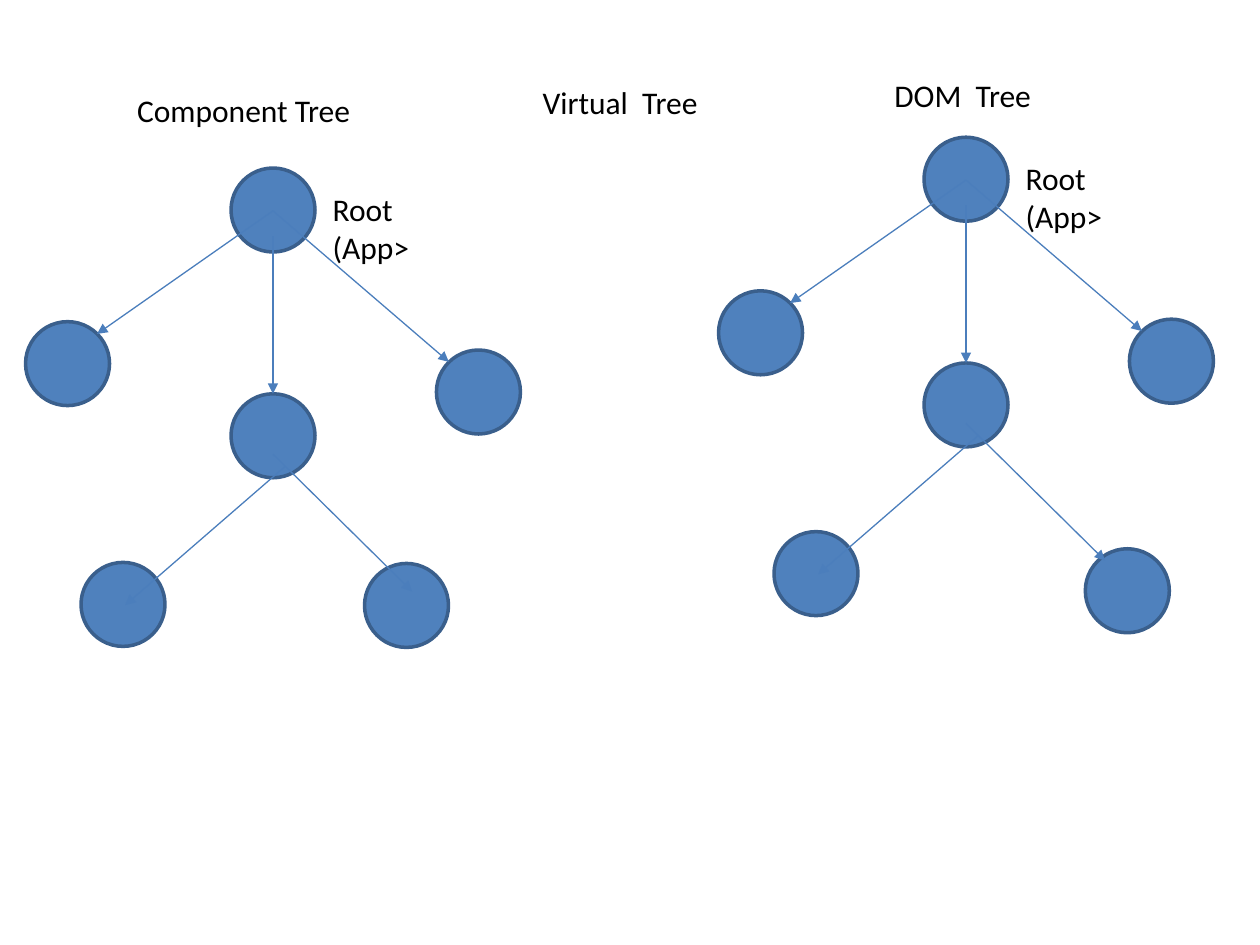
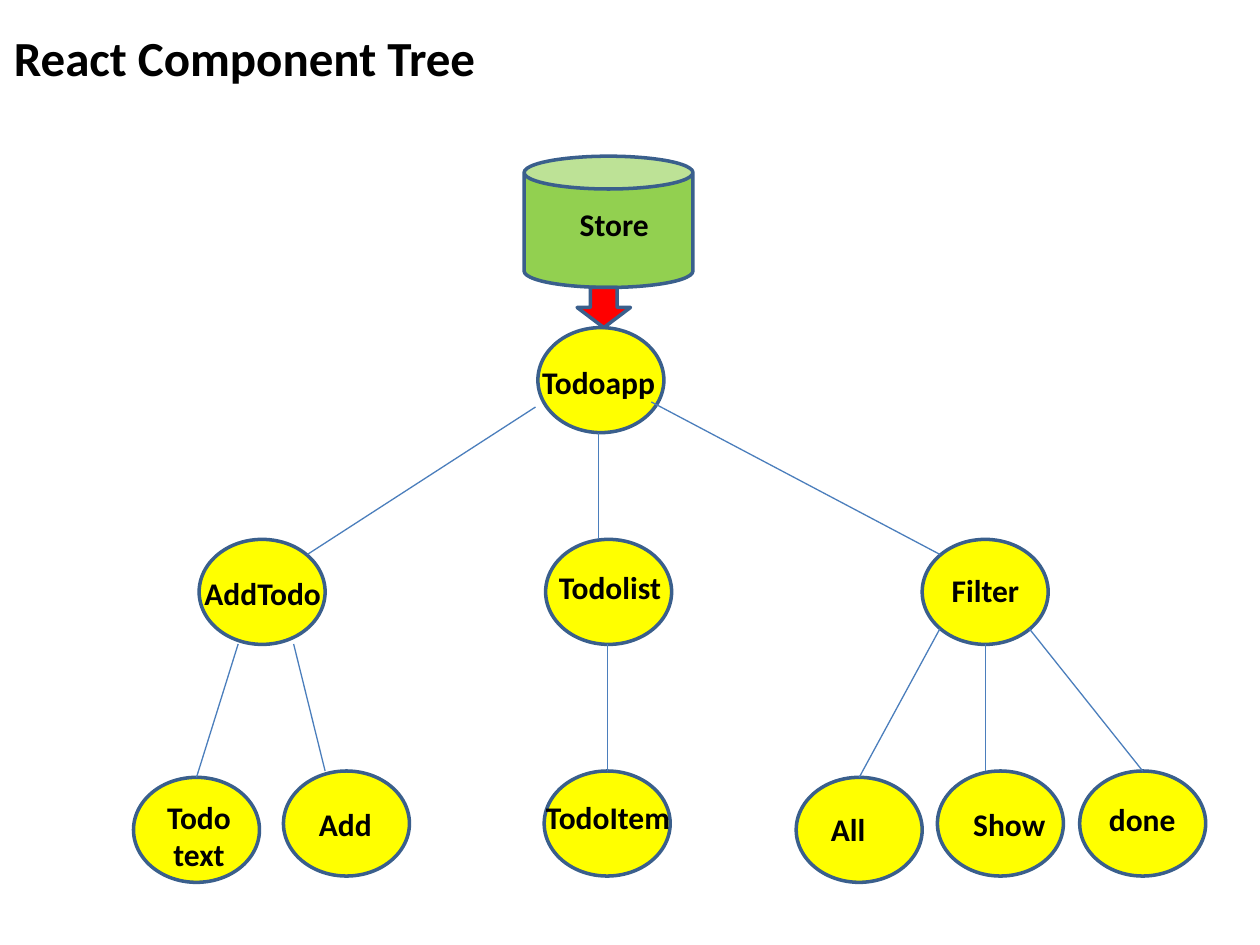
from dataclasses import dataclass

from lxml.etree import SubElement
from pptx import Presentation
from pptx.dml.color import RGBColor
from pptx.enum.shapes import MSO_CONNECTOR, MSO_SHAPE
from pptx.enum.text import MSO_ANCHOR, MSO_AUTO_SIZE, PP_ALIGN
from pptx.oxml.ns import qn
from pptx.util import Pt


@dataclass(frozen=True)
class Theme:
    font: str = "Calibri"
    text: str = "000000"
    outline: str = "3A5F8C"
    edge: str = "4B7EBC"
    tree_node: str = "4F81BD"
    component: str = "FFFF00"
    store: str = "92D050"
    flow: str = "FF0000"
    title_size: int = 28
    label_size: int = 18
    outline_width: float = 2
    edge_width: float = 0.75


THEME = Theme()

# Slide 1: tree headings (text, left, top), roots and the last leaf of each tree
HEADINGS = [
    ("Component Tree", 71.3, 48.2),
    ("Virtual  Tree", 303, 44),
    ("DOM  Tree", 504, 39.6),
]
ROOT_LABEL = "Root  (App>"
TREES = [
    {"root": (132, 96), "last_leaf": (76.3, 226)},
    {"root": (528, 78.4), "last_leaf": (92.2, 235.2)},
]
NODE_SIZE = 48

# Offsets from the root's corner
MIDDLE_CHILD = (0, 129)
OTHER_CHILDREN = [(-117.4, 87.8), (117.4, 104), (-85.7, 225.4)]
MIDDLE_ARROW_START = (24, 39)
ARROWS = [
    ((24, 24.5), (-76.5, 94.8)),
    ((24, 24.5), (124.5, 110.8)),
    ((31, 170.5), (-60.5, 249.8)),
    ((24, 163.5), (103.5, 242)),
]

# Slide 2: components as name: (node left, node top, label centre, label top)
TITLE = "React Component Tree"
COMPONENTS = {
    "Todoapp": (307.4, 187.2, 342, 203.8),
    "AddTodo": (113.8, 308.2, 150.1, 324.7),
    "Todolist": (311.8, 308.2, 348.5, 321.1),
    "Filter": (527, 308.2, 563.1, 322.6),
    "Todo\ntext": (76.3, 444.2, 113.7, 452.2),
    "Add": (162, 440.6, 197.3, 456.5),
    "TodoItem": (311, 440.6, 347.4, 452.2),
    "All": (455, 444.2, 484.6, 459.4),
    "Show": (535.7, 440.6, 576.7, 456.5),
    "done": (617, 440.6, 652.7, 453.6),
}
COMPONENT_SIZE = (72, 60)
# Links that end on a component's top middle: (start, component)
JOINED_LINKS = [
    ((136.1, 368), "Todo\ntext"),
    ((347, 368), "TodoItem"),
    ((537.1, 359.3), "All"),
    ((588.2, 359.3), "done"),
]
FREE_LINKS = [
    ((342, 247.7), (342, 308.2)),
    ((306, 232.6), (175.7, 316.8)),
    ((372.2, 229.7), (537.1, 316.8)),
    ((167.8, 368), (185.8, 440.6)),
    ((563, 368), (563, 440.6)),
]
STORE = ("Store", 351, 113.8)
STORE_BOX = (299.5, 89.3, 96.5, 75)
FLOW_BOX = (329.8, 164.2, 30.5, 23)


# Shared drawing helpers
def points(*lengths):
    return [Pt(length) for length in lengths]


def add_solid(slide, preset, box, colour):
    solid = slide.shapes.add_shape(preset, *points(*box))
    solid.shadow.inherit = False
    solid.fill.solid()
    solid.fill.fore_color.rgb = RGBColor.from_string(colour)
    solid.line.color.rgb = RGBColor.from_string(THEME.outline)
    solid.line.width = Pt(THEME.outline_width)
    return solid


def format_text(frame, size, bold, align):
    for paragraph in frame.paragraphs:
        paragraph.alignment = align
        for run in paragraph.runs:
            run.font.name = THEME.font
            run.font.size = Pt(size)
            run.font.bold = bold
            run.font.color.rgb = RGBColor.from_string(THEME.text)


def add_label(slide, text, box, bold=False, align=PP_ALIGN.LEFT, wrap=True):
    frame = slide.shapes.add_textbox(*points(*box)).text_frame
    frame.word_wrap = wrap
    frame.text = text
    format_text(frame, THEME.label_size, bold, align)


def add_centred_label(slide, text, centre, top):
    width, height = 90, 51 if "\n" in text else 29
    add_label(slide, text, (centre - width / 2, top, width, height),
              bold=True, align=PP_ALIGN.CENTER, wrap=False)


def add_link(slide, start, end, target=None, arrow=False):
    link = slide.shapes.add_connector(
        MSO_CONNECTOR.STRAIGHT, *points(*start, *end))
    if target is not None:
        link.end_connect(target, 0)
    link.line.color.rgb = RGBColor.from_string(THEME.edge)
    link.line.width = Pt(THEME.edge_width)
    properties = link._element.spPr
    if arrow:
        SubElement(properties.find(qn("a:ln")), qn("a:tailEnd"), type="triangle")
    SubElement(properties, qn("a:effectLst"))


# Slide 1: three kinds of tree
def draw_tree(slide, root, last_leaf):
    def place(offset):
        return root[0] + offset[0], root[1] + offset[1]

    def add_node(offset):
        return add_solid(slide, MSO_SHAPE.OVAL,
                         (*place(offset), NODE_SIZE, NODE_SIZE), THEME.tree_node)

    for offset in [(0, 0), *OTHER_CHILDREN, last_leaf]:
        add_node(offset)
    middle_child = add_node(MIDDLE_CHILD)
    add_label(slide, ROOT_LABEL, (*place((51, 9.2)), 72, 51))
    add_link(slide, place(MIDDLE_ARROW_START), place((24, 129)),
             middle_child, arrow=True)
    for start, end in ARROWS:
        add_link(slide, place(start), place(end), arrow=True)


def build_tree_kinds(deck):
    slide = deck.slides.add_slide(deck.slide_layouts.get_by_name("Blank"))
    for tree in TREES:
        draw_tree(slide, **tree)
    for heading, left, top in HEADINGS:
        add_label(slide, heading, (left, top, 164, 29))


# Slide 2: component tree fed by the store
def build_component_tree(deck):
    slide = deck.slides.add_slide(deck.slide_layouts.get_by_name("Title Only"))
    title = slide.shapes.title
    title.left, title.top, title.width, title.height = points(0.7, 12.2, 719.3, 41)
    frame = title.text_frame
    frame.text = TITLE
    frame.auto_size = MSO_AUTO_SIZE.NONE
    frame.vertical_anchor = MSO_ANCHOR.TOP
    format_text(frame, THEME.title_size, True, PP_ALIGN.LEFT)

    nodes = {}
    for name, (left, top, centre, label_top) in COMPONENTS.items():
        nodes[name] = add_solid(slide, MSO_SHAPE.OVAL,
                                (left, top, *COMPONENT_SIZE), THEME.component)
        add_centred_label(slide, name, centre, label_top)
    for start, name in JOINED_LINKS:
        add_link(slide, start, start, nodes[name])
    for start, end in FREE_LINKS:
        add_link(slide, start, end)

    add_solid(slide, MSO_SHAPE.CAN, STORE_BOX, THEME.store)
    add_centred_label(slide, *STORE)
    add_solid(slide, MSO_SHAPE.DOWN_ARROW, FLOW_BOX, THEME.flow)


def main():
    deck = Presentation()
    deck.slide_width, deck.slide_height = points(720, 540)
    build_tree_kinds(deck)
    build_component_tree(deck)
    deck.save("out.pptx")


if __name__ == "__main__":
    main()
